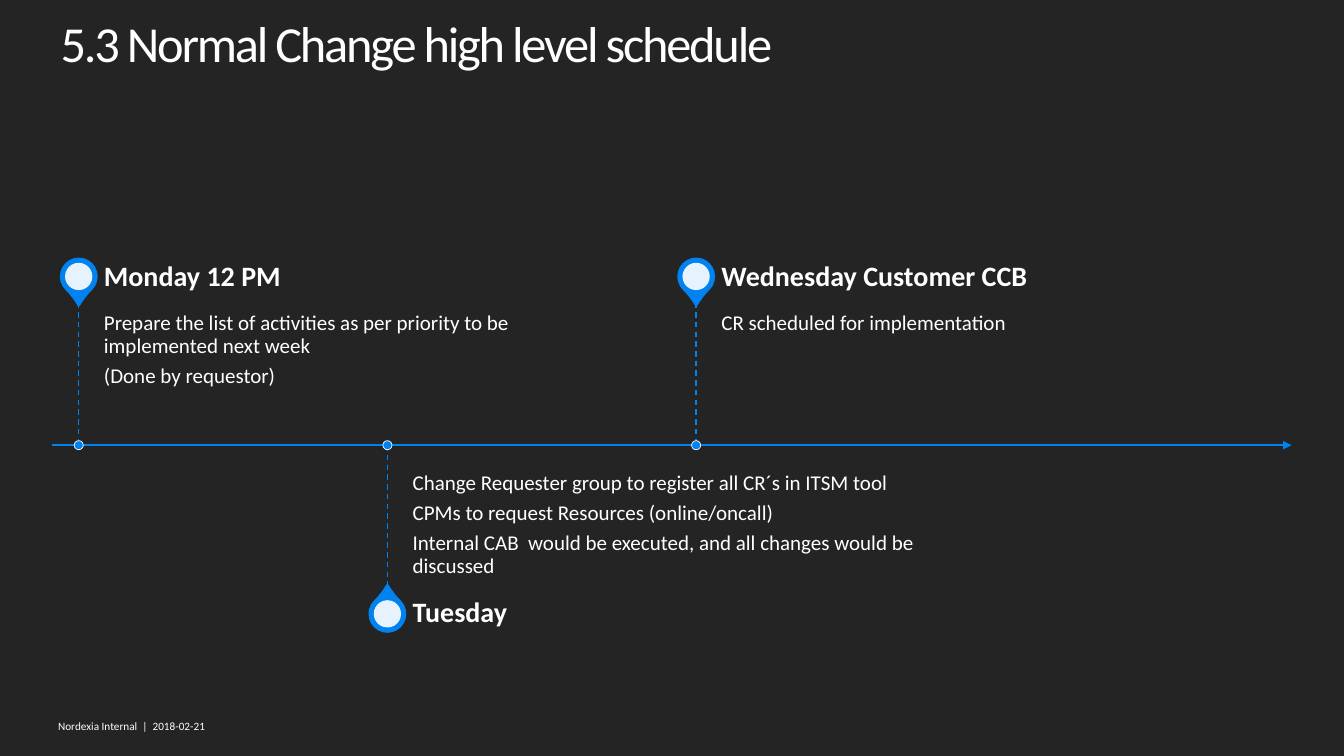
import lxml.etree
import pptx
import pptx.dml.color
import pptx.enum.dml
import pptx.enum.shapes
import pptx.enum.text
import pptx.oxml.ns
import pptx.util

Pt = pptx.util.Pt
SHAPES = pptx.enum.shapes.MSO_SHAPE
ANCHOR = pptx.enum.text.MSO_ANCHOR
COLORS = {"background": "242424", "text": "FFFFFF", "accent": "0082F0"}
AXIS = {"left": 37.5, "right": 922.5, "top": 318}
FIRST_STEM, STEM_STEP = 56.25, 220.5
STEM_LENGTH, HEADING_HEIGHT = 102, 36
TEXT_GAP, TEXT_WIDTH = 18, 367
MILESTONES = [
    ("Monday 12 PM", [
        "Prepare the list of activities as per priority to be implemented next week",
        "(Done by requestor)",
    ]),
    ("Tuesday", [
        "Change Requester group to register all CR´s in ITSM tool",
        "CPMs to request Resources (online/oncall)",
        "Internal CAB  would be executed, and all changes would be discussed",
    ]),
    ("Wednesday Customer CCB", ["CR scheduled for implementation"]),
]


def rgb(name):
    """Return the named colour."""
    return pptx.dml.color.RGBColor.from_string(COLORS[name])


def add_child(parent, tag, **attributes):
    """Append a DrawingML element to the parent."""
    name = pptx.oxml.ns.qn(tag)
    return lxml.etree.SubElement(parent, name, **attributes)


def write_text(shape, paragraphs, size, bold=False, anchor=ANCHOR.TOP, insets=(0, 0, 0, 0),
               line_spacing=None, before=0, after=0, tracking=None, wrap=True):
    """Fill a shape with left-aligned, formatted paragraphs."""
    frame = shape.text_frame
    frame.auto_size = pptx.enum.text.MSO_AUTO_SIZE.NONE
    frame.word_wrap = wrap
    frame.vertical_anchor = anchor
    frame.margin_left, frame.margin_top, frame.margin_right, frame.margin_bottom = map(Pt, insets)
    for index, text in enumerate(paragraphs):
        para = frame.add_paragraph() if index else frame.paragraphs[0]
        para.alignment = pptx.enum.text.PP_ALIGN.LEFT
        para.line_spacing = line_spacing
        para.space_before, para.space_after = Pt(before), Pt(after)
        span = para.add_run()
        span.text = text
        span.font.name, span.font.size, span.font.bold = "Calibri", Pt(size), bold
        span.font.color.rgb = rgb("text")
        if tracking is not None:
            span.font._element.set("spc", str(int(tracking * 100)))


def add_text(page, box, paragraphs, **formats):
    """Add a text box at the given box."""
    write_text(page.shapes.add_textbox(*map(Pt, box)), paragraphs, **formats)


def add_line(page, start, end, width, dashed=False, arrow=False):
    """Add a straight accent line, dashed or with an arrowhead if asked."""
    line = page.shapes.add_connector(
        pptx.enum.shapes.MSO_CONNECTOR.STRAIGHT, *map(Pt, start + end))
    line.line.color.rgb = rgb("accent")
    line.line.width = Pt(width)
    if dashed:
        line.line.dash_style = pptx.enum.dml.MSO_LINE.DASH
    if arrow:
        add_child(line.line._get_or_add_ln(), "a:tailEnd", type="triangle")
    add_child(line._element.spPr, "a:effectLst")


def add_round(page, kind, center, size, fill, outline=None, width=0):
    """Add a shape of equal sides around a centre point."""
    x, y = center
    shape = page.shapes.add_shape(kind, *map(Pt, (x - size / 2, y - size / 2, size, size)))
    shape.shadow.inherit = False
    shape.fill.solid()
    shape.fill.fore_color.rgb = rgb(fill)
    if outline:
        shape.line.color.rgb = rgb(outline)
        shape.line.width = Pt(width)
    else:
        shape.line.fill.background()
    return shape


def add_pin(page, center, rotation):
    """Add a map pin whose tip points along the rotation."""
    drop = add_round(page, SHAPES.TEAR, center, 25, "accent", "accent", 2)
    drop.adjustments[0] = 1.15
    drop.rotation = rotation
    disc = add_round(page, SHAPES.OVAL, center, 19.5, "text")
    color = disc.fill._xPr.find(".//" + pptx.oxml.ns.qn("a:srgbClr"))
    add_child(color, "a:alpha", val="90000")


def add_milestone(page, x, axis_y, heading, details, above):
    """Add one milestone above or below the axis at x."""
    left = x + TEXT_GAP
    if above:
        stem_end = axis_y - STEM_LENGTH
        heading_top, details_top = stem_end - HEADING_HEIGHT, stem_end
        pin_y, rotation = heading_top + 17.5, 135
        anchor, insets = ANCHOR.TOP, (0, 7.2, 7.2, 11.5)
    else:
        stem_end = axis_y + STEM_LENGTH
        heading_top, details_top = stem_end, axis_y
        pin_y, rotation = heading_top + 18.5, 315
        anchor, insets = ANCHOR.BOTTOM, (0, 11.5, 0, 7.2)
    add_pin(page, (x, pin_y), rotation)
    add_text(page, (left, details_top, TEXT_WIDTH, STEM_LENGTH), details, size=15,
             anchor=anchor, insets=insets, line_spacing=0.9, after=5.25)
    add_text(page, (left, heading_top, TEXT_WIDTH, HEADING_HEIGHT), [heading], size=20,
             bold=True, anchor=ANCHOR.MIDDLE, insets=(0, 0, 10, 0), line_spacing=0.9, after=7)
    add_line(page, (x, min(axis_y, stem_end)), (x, max(axis_y, stem_end)), 1, dashed=True)
    add_round(page, SHAPES.OVAL, (x, axis_y), 6.5, "accent", "text", 0.5)


def add_title(page, box, text):
    """Place and fill the title placeholder."""
    title = page.shapes.title
    title.left, title.top, title.width, title.height = map(Pt, box)
    write_text(title, [text], size=36, insets=(5.75, 2.9, 5.75, 2.9),
               line_spacing=0.85, before=3, tracking=-1.6)


def add_timeline(page, axis, milestones):
    """Draw the axis and alternate the milestones around it."""
    y = axis["top"]
    add_line(page, (axis["left"], y), (axis["right"], y), 1.5, arrow=True)
    for index, (heading, details) in enumerate(milestones):
        add_milestone(page, FIRST_STEM + index * STEM_STEP, y, heading, details, index % 2 == 0)


def main():
    """Build the schedule deck."""
    deck = pptx.Presentation()
    deck.slide_width, deck.slide_height = Pt(960), Pt(540)
    page = deck.slides.add_slide(deck.slide_layouts.get_by_name("Title Only"))
    page.background.fill.solid()
    page.background.fill.fore_color.rgb = rgb("background")
    add_text(page, (41.5, 514, 777, 17.5), ["Nordexia Internal  |  2018-02-21"], size=8, wrap=False)
    add_title(page, (37.5, 12.25, 658, 85), "5.3 Normal Change high level schedule")
    add_timeline(page, AXIS, MILESTONES)
    deck.save("out.pptx")


if __name__ == "__main__":
    main()
